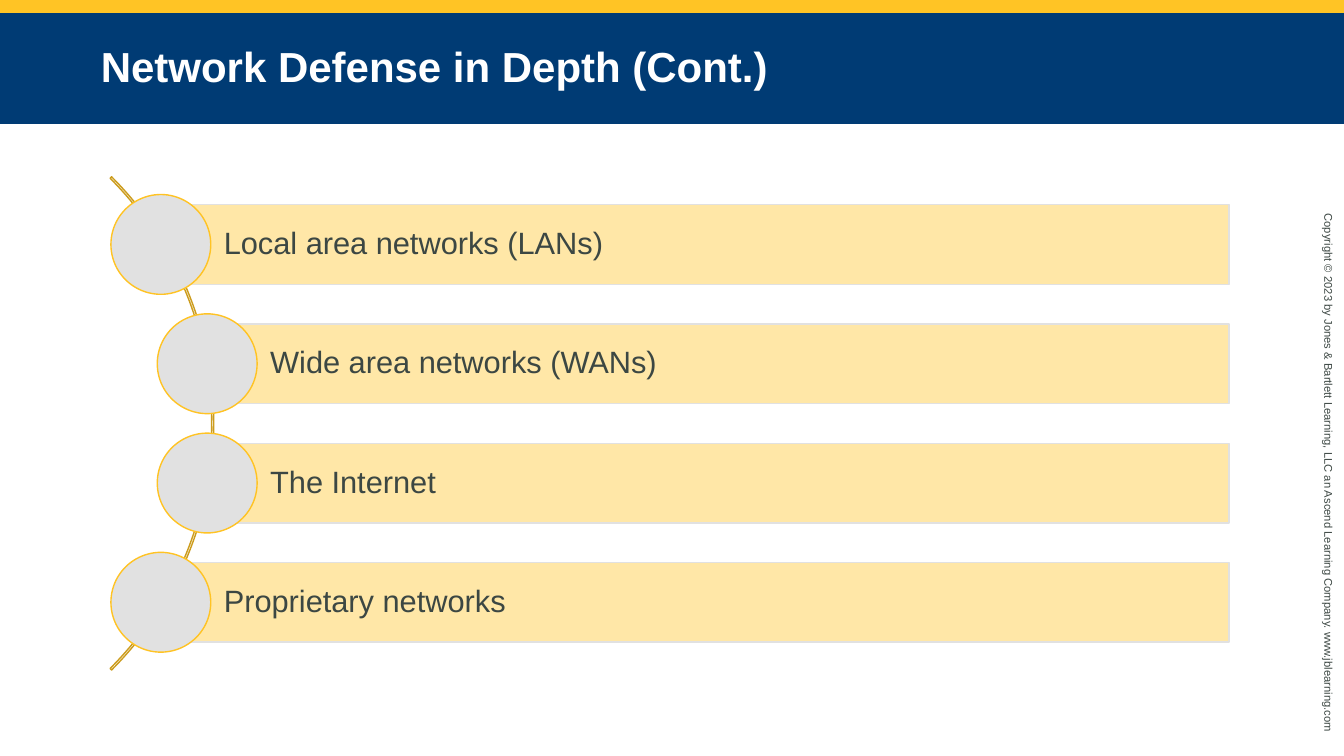
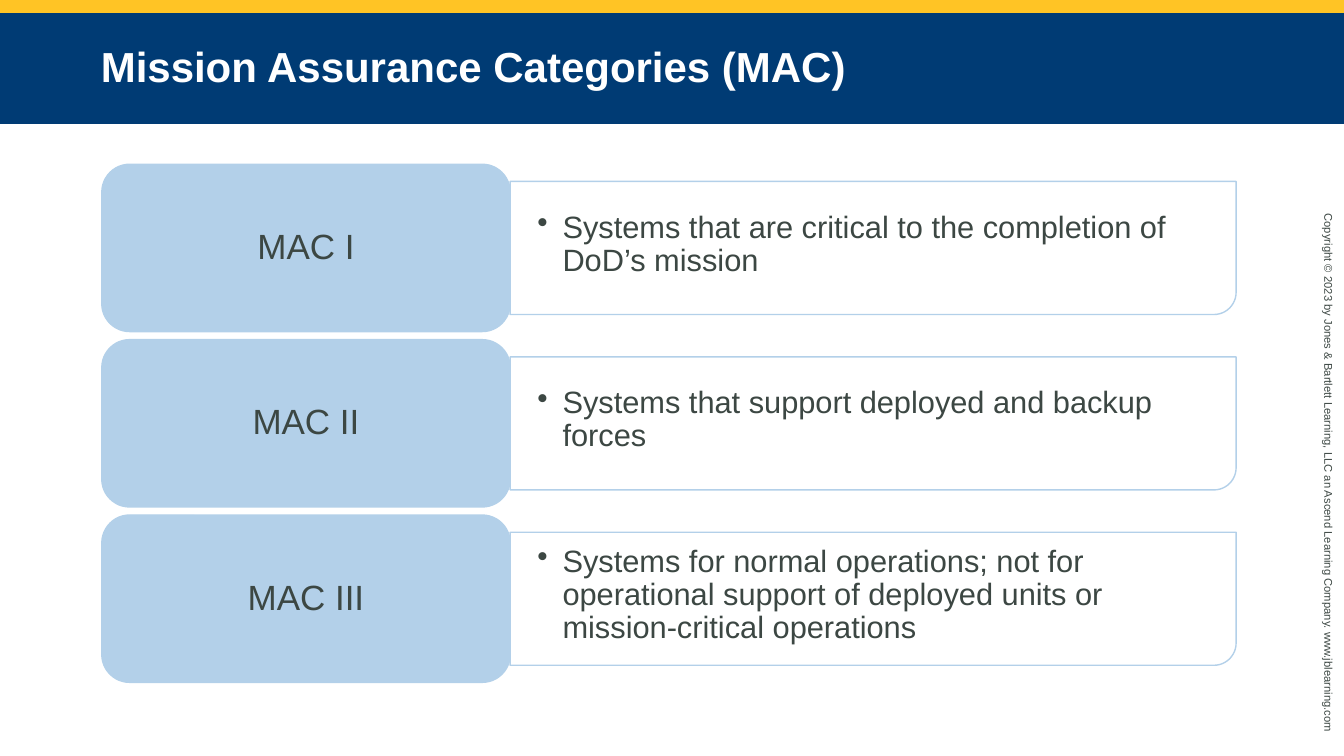
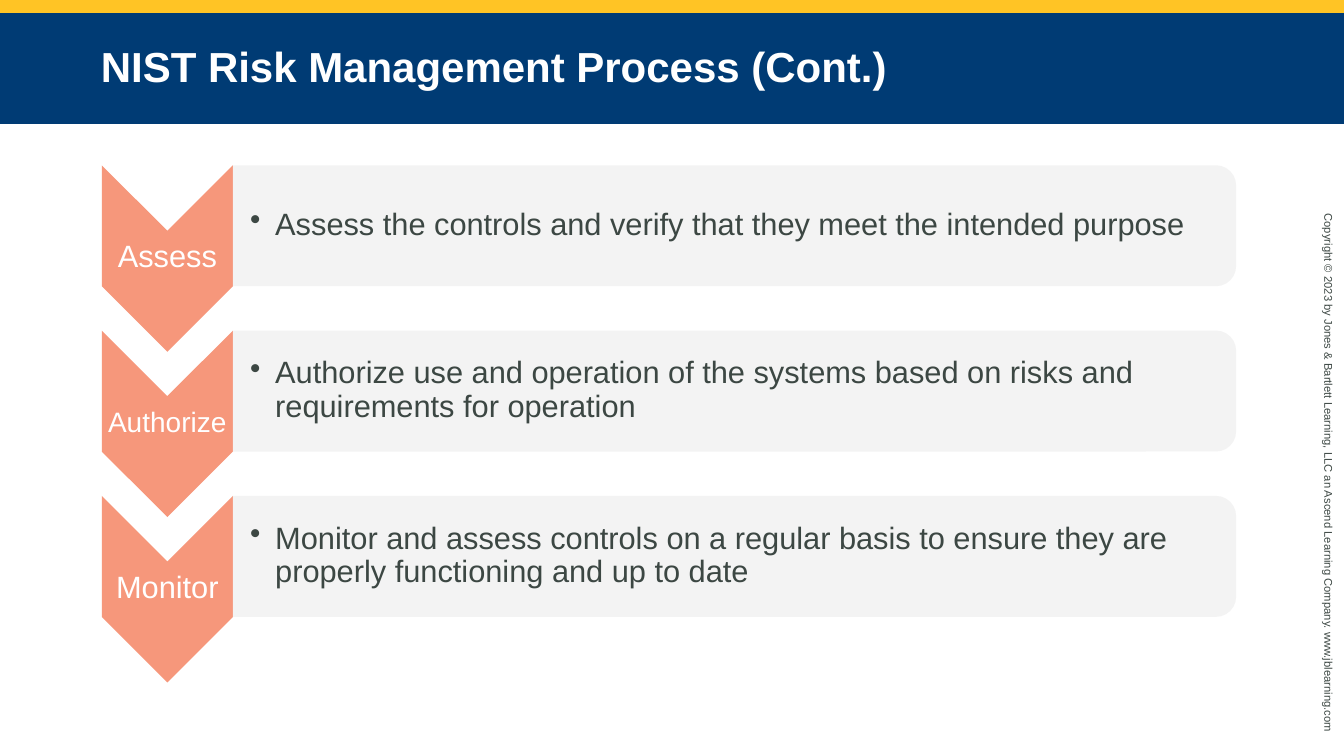
from lxml import etree
from pptx import Presentation
from pptx.dml.color import RGBColor
from pptx.enum.shapes import MSO_SHAPE as SHAPE
from pptx.enum.text import MSO_ANCHOR as ANCHOR, MSO_AUTO_SIZE as AUTO, PP_ALIGN as ALIGN
from pptx.oxml.ns import qn
from pptx.util import Inches, Pt

rgb = RGBColor.from_string
GOLD, NAVY, WHITE, INK = "FFC425", "003B74", "FFFFFF", "3C4743"
CREAM, GREY, SKY, CORAL, PALE = "FFE7A7", "E1E1E1", "B3D0E9", "F6977B", "F2F2F2"


def add(s, kind, x, y, w, h, fill=None, line=None, turned=False):
    """Add a shape (a text box if kind is None) that covers the given area."""
    if turned:  # rotated by 90 degrees about the centre of the area
        x, y, w, h = x + (w - h) / 2, y + (h - w) / 2, h, w
    box = [Inches(v) for v in (x, y, w, h)]
    if kind is None:
        sp = s.shapes.add_textbox(*box)
    else:
        sp = s.shapes.add_shape(kind, *box)
        sp.shadow.inherit = False
        if fill:
            sp.fill.solid()
            sp.fill.fore_color.rgb = rgb(fill)
        else:
            sp.fill.background()
        if line:
            sp.line.color.rgb = rgb(line)
            sp.line.width = Pt(1)
        else:
            sp.line.fill.background()
    sp.rotation = 90 if turned else 0
    return sp


def write(sp, text, size, color=INK, inset=(0.1, 0.05, 0.1, 0.05), align=ALIGN.LEFT,
          spacing=0.9, bold=False, bullet=False):
    tf = sp.text_frame
    left, top, right, bottom = [Inches(v) for v in inset]
    frame = {"word_wrap": True, "auto_size": AUTO.NONE, "vertical_anchor": ANCHOR.MIDDLE,
             "margin_left": left, "margin_top": top,
             "margin_right": right, "margin_bottom": bottom}
    for name, value in frame.items():
        setattr(tf, name, value)
    p = tf.paragraphs[0]
    p.alignment, p.line_spacing = align, spacing
    if bullet:
        pPr = p._p.get_or_add_pPr()
        pPr.set("marL", str(Inches(0.25)))
        pPr.set("indent", str(-Inches(0.25)))
        etree.SubElement(pPr, qn("a:buChar")).set("char", "•")
    r = p.add_run()
    r.text = text
    for name, value in {"name": "Arial", "size": Pt(size), "bold": bold}.items():
        setattr(r.font, name, value)
    r.font.color.rgb = rgb(color)


prs = Presentation()
prs.slide_width, prs.slide_height = Inches(13.33), Inches(7.5)
layout = prs.slide_layouts[5]

# Slides with their title bands
slides = []
for title in ("Network Defense in Depth (Cont.)",
              "Mission Assurance Categories (MAC)",
              "NIST Risk Management Process (Cont.)"):
    s = prs.slides.add_slide(layout)
    sp = s.shapes.title
    place = {"left": 0, "top": 0.13, "width": 13.33, "height": 1.1}
    for name, value in place.items():
        setattr(sp, name, Inches(value))
    sp.fill.solid()
    sp.fill.fore_color.rgb = rgb(NAVY)
    write(sp, title, 30, WHITE, (1, 0.05, 1, 0.05), spacing=0.95, bold=True)
    slides.append(s)
networks, categories, process = slides

# Gold band and copyright line, moved to the layout
band = add(networks, SHAPE.RECTANGLE, 0, 0, 13.33, 0.13, GOLD)
notice = add(networks, None, 13.06, 2.02, 0.24, 5.48, turned=True)
write(notice, "Copyright © 2023 by Jones & Bartlett Learning, LLC an Ascend Learning Company. "
      "www.jblearning.com", 8, spacing=1.0)
for sp in (band, notice):
    layout.shapes._spTree.append(sp._element)

# Slide 1: bars strung along an arc
arc = add(networks, SHAPE.BLOCK_ARC, -4.8, 0.74, 6.92, 6.92, line="CC9C1D")
for i, value in enumerate((189, 27, 0.003)):
    arc.adjustments[i] = value
bars = [("Local area networks (LANs)", 1.59), ("Wide area networks (WANs)", 2.05),
        ("The Internet", 2.05), ("Proprietary networks", 1.59)]
for i, (text, x) in enumerate(bars):
    y = 2.03 + i * 3.55 / 3
    bar = add(networks, SHAPE.RECTANGLE, x, y, 12.19 - x, 0.79, CREAM, GREY)
    write(bar, text, 22, inset=(0.63, 0.06, 0.06, 0.06))
    add(networks, SHAPE.OVAL, x - 0.49, y - 0.1, 0.99, 0.99, GREY, "FFC324")

# Slide 2: category labels with descriptions
rows = [("MAC I", "Systems that are critical to the completion of DoD’s mission"),
        ("MAC II", "Systems that support deployed and backup forces"),
        ("MAC III", "Systems for normal operations; not for operational support of "
                    "deployed units or mission-critical operations")]
for i, (name, text) in enumerate(rows):
    y = 1.63 + i * 1.74
    add(categories, SHAPE.ROUND_1_RECTANGLE, 5.06, y + 0.17, 7.2, 1.32, line=SKY, turned=True)
    detail = add(categories, None, 5.06, y + 0.17, 7.2, 1.26)
    write(detail, text, 22, inset=(0.27, 0.14, 0.27, 0.14), bullet=True)
    label = add(categories, SHAPE.ROUNDED_RECTANGLE, 1.01, y, 4.05, 1.66, SKY, SKY)
    write(label, name, 25, align=ALIGN.CENTER)

# Slide 3: chevrons pointing down, with a panel for each step
steps = [("Assess", 22, "Assess the controls and verify that they meet the intended purpose"),
         ("Authorize", 20, "Authorize use and operation of the systems based on risks and "
                           "requirements for operation"),
         ("Monitor", 22, "Monitor and assess controls on a regular basis to ensure they are "
                         "properly functioning and up to date")]
for i, (name, size, text) in enumerate(steps):
    y = 1.64 + i * 1.64
    add(process, SHAPE.CHEVRON, 1.01, y, 1.3, 1.85, CORAL, turned=True)
    label = add(process, None, 1.01, y + 0.64, 1.3, 0.56)
    write(label, name, size, WHITE, (0.01,) * 4, ALIGN.CENTER)
    panel = add(process, SHAPE.ROUND_2_SAME_RECTANGLE, 2.31, y, 9.95, 1.2, PALE, turned=True)
    color = panel._element.spPr.find(qn("a:solidFill"))[0]
    etree.SubElement(color, qn("a:alpha")).set("val", "90000")
    detail = add(process, None, 2.31, y + 0.05, 9.89, 1.09)
    write(detail, text, 22, inset=(0.17, 0.02, 0.02, 0.02), bullet=True)

prs.save("out.pptx")
